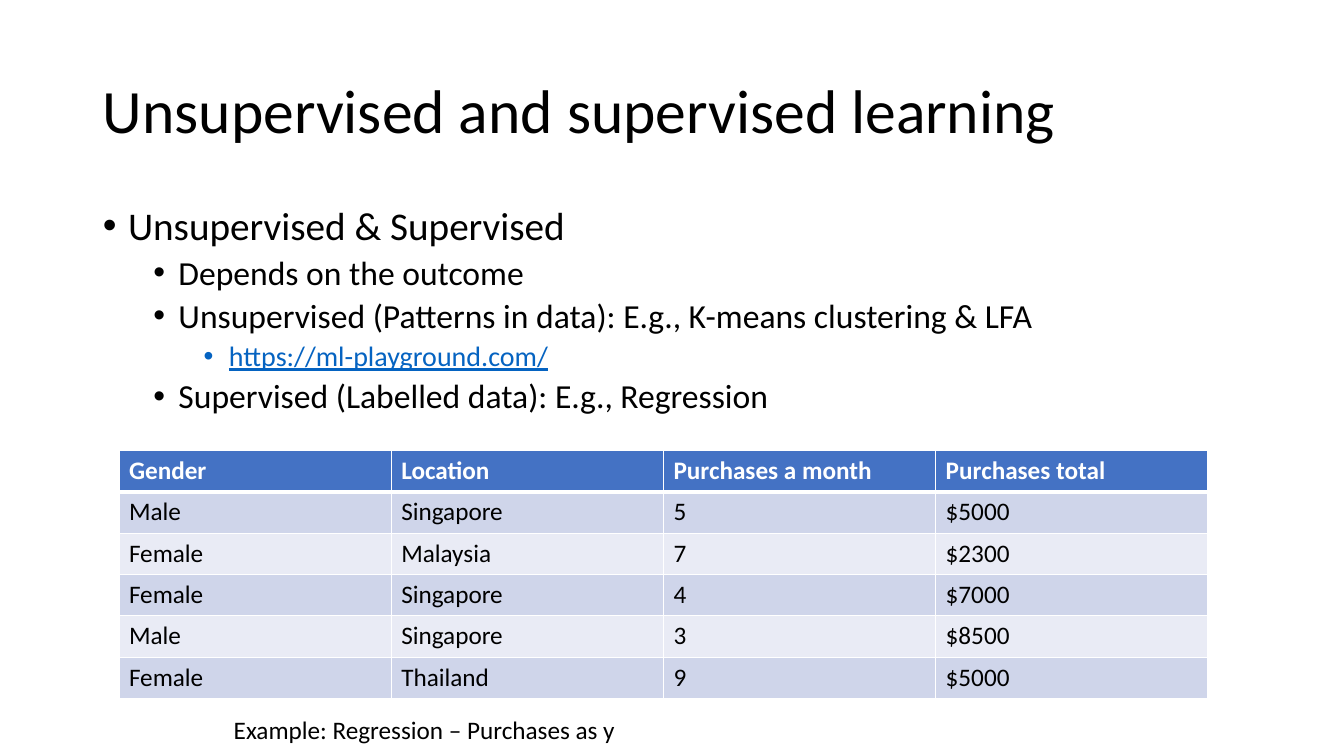
from dataclasses import dataclass

from lxml import etree
from pptx import Presentation
from pptx.dml.color import RGBColor
from pptx.enum.text import MSO_ANCHOR, MSO_AUTO_SIZE, PP_ALIGN
from pptx.oxml.ns import qn
from pptx.util import Pt

LEFT = PP_ALIGN.LEFT
TOP, MIDDLE = MSO_ANCHOR.TOP, MSO_ANCHOR.MIDDLE
NO_FIT = MSO_AUTO_SIZE.NONE

# Content
HEADING = "Unsupervised and supervised learning"
POINTS = [  # level, wording
    (0, "Unsupervised & Supervised"),
    (1, "Depends on the outcome"),
    (1, "Unsupervised (Patterns in data): E.g., K-means clustering & LFA"),
    (2, "https://ml-playground.com/"),
    (1, "Supervised (Labelled data): E.g., Regression"),
]
PURCHASES = [
    ("Gender", "Location", "Purchases a month", "Purchases total"),
    ("Male", "Singapore", "5", "$5000"),
    ("Female", "Malaysia", "7", "$2300"),
    ("Female", "Singapore", "4", "$7000"),
    ("Male", "Singapore", "3", "$8500"),
    ("Female", "Thailand", "9", "$5000"),
]
EXAMPLE = "Example: Regression – Purchases as y"


@dataclass(frozen=True)
class Theme:
    font: str = "Calibri"
    ink: str = "000000"
    link: str = "0563C1"
    white: str = "FFFFFF"
    header: str = "4472C4"
    bands: tuple = ("E9EBF5", "CFD5EA")
    heading_size: int = 44
    point_sizes: tuple = (28, 24, 20)
    small_size: int = 18


THEME = Theme()

# Layout: left, top, width, height in px, 100 px to the inch
HEADING_BOX = (92, 40, 1150, 145)
POINTS_BOX = (92, 200, 1150, 476)
TABLE_LEFT, TABLE_TOP = 118, 447
COLUMN_WIDTH, ROW_HEIGHT = 270, 41
EXAMPLE_BOX = (222, 704, 410, 40)
INDENT_STEP, HANGING = 50, 25


def px(length):
    return length * 9144


def place(shape, box):
    shape.left, shape.top, shape.width, shape.height = map(px, box)


def style(paragraph, size, color=THEME.ink, bold=False, underline=False):
    for run in paragraph.runs:
        font = run.font
        font.name, font.size = THEME.font, Pt(size)
        font.bold, font.underline = bold, underline
        font.color.rgb = RGBColor.from_string(color)


def add_bullet(paragraph, level):
    props = paragraph._p.get_or_add_pPr()
    props.set("marL", str(px(HANGING + level * INDENT_STEP)))
    props.set("indent", str(px(-HANGING)))
    etree.SubElement(props, qn("a:buFont")).set("typeface", "Arial")
    etree.SubElement(props, qn("a:buChar")).set("char", "•")


def add_border(cell, side, width):
    line = etree.SubElement(cell._tc.get_or_add_tcPr(), qn(f"a:ln{side}"), w=str(Pt(width)))
    fill = etree.SubElement(line, qn("a:solidFill"))
    etree.SubElement(fill, qn("a:srgbClr")).set("val", THEME.white)


prs = Presentation()
prs.slide_width, prs.slide_height = px(1333), px(750)
slide = prs.slides.add_slide(prs.slide_layouts[1])

# Title
title = slide.shapes.title
place(title, HEADING_BOX)
title.text_frame.text = HEADING
title.text_frame.auto_size = NO_FIT
title.text_frame.vertical_anchor = MIDDLE
heading = title.text_frame.paragraphs[0]
heading.alignment, heading.line_spacing = LEFT, 0.9
style(heading, THEME.heading_size)

# Bulleted list
body = slide.placeholders[1]
place(body, POINTS_BOX)
points = body.text_frame
points.text = "\n".join(wording for _, wording in POINTS)
points.auto_size, points.vertical_anchor = NO_FIT, TOP
for index, (paragraph, (level, wording)) in enumerate(zip(points.paragraphs, POINTS)):
    is_link = wording.startswith("https:")
    paragraph.level = level
    add_bullet(paragraph, level)
    paragraph.line_spacing = 0.9
    paragraph.space_before = Pt(5 if index else 0)
    style(paragraph, THEME.point_sizes[level],
          THEME.link if is_link else THEME.ink, underline=is_link)

# Purchases table
row_count, column_count = len(PURCHASES), len(PURCHASES[0])
purchases = slide.shapes.add_table(
    row_count, column_count, px(TABLE_LEFT), px(TABLE_TOP),
    px(column_count * COLUMN_WIDTH), px(row_count * ROW_HEIGHT)).table
for r, record in enumerate(PURCHASES):
    is_header = r == 0
    for c, value in enumerate(record):
        cell = purchases.cell(r, c)
        cell.text_frame.text = value
        style(cell.text_frame.paragraphs[0], THEME.small_size,
              THEME.white if is_header else THEME.ink, bold=is_header)
        # The edge under the header is heavier
        for side in "LRTB":
            add_border(cell, side, 3 if (r, side) in ((0, "B"), (1, "T")) else 1)
        cell.fill.solid()
        cell.fill.fore_color.rgb = RGBColor.from_string(
            THEME.header if is_header else THEME.bands[r % 2])

# Example line
example = slide.shapes.add_textbox(*map(px, EXAMPLE_BOX)).text_frame
example.word_wrap = True
example.text = EXAMPLE
style(example.paragraphs[0], THEME.small_size)

prs.save("out.pptx")
